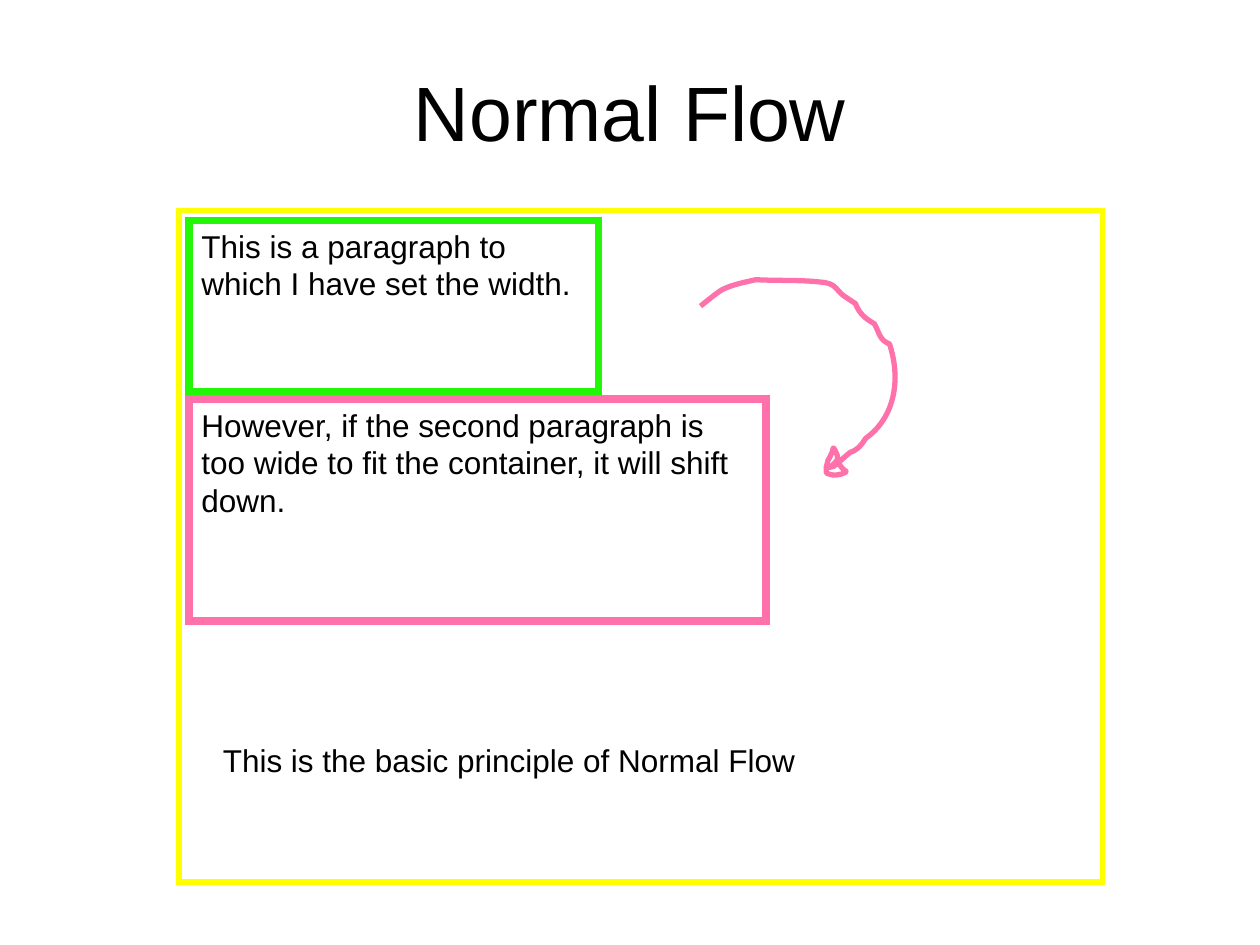
from dataclasses import dataclass

from lxml import etree
from pptx import Presentation
from pptx.dml.color import RGBColor
from pptx.enum.shapes import MSO_SHAPE
from pptx.enum.text import MSO_ANCHOR, MSO_AUTO_SIZE, PP_ALIGN
from pptx.oxml.ns import qn
from pptx.util import Inches, Pt

RECTANGLE = MSO_SHAPE.RECTANGLE
TOP, MIDDLE = MSO_ANCHOR.TOP, MSO_ANCHOR.MIDDLE
LEFT, CENTER = PP_ALIGN.LEFT, PP_ALIGN.CENTER
GROW = MSO_AUTO_SIZE.SHAPE_TO_FIT_TEXT
TITLE_ONLY = 5
COLORS = {"text": "000000", "container": "FFFF00", "first": "24F608", "second": "FF71AA"}


@dataclass
class Box:
    left: float
    top: float
    width: float
    height: float
    color: str = ""
    line_width: float = 0
    text: str = ""

    def frame(self) -> tuple:
        return tuple(map(Inches, (self.left, self.top, self.width, self.height)))


TITLE = Box(0.75, 0.25, 8.5, 1.25, text="Normal Flow")
BOXES = [
    Box(1.42, 1.67, 7.33, 5.33, "container", 3),
    Box(1.5, 1.75, 3.25, 1.36, "first", 4.5,
        "This is a paragraph to which I have set the width."),
    Box(1.5, 3.17, 4.58, 1.76, "second", 4.5,
        "However, if the second paragraph is too wide to fit the container, "
        "it will shift down."),
]
SUMMARY = Box(1.67, 5.83, 6.75, 0.5, text="This is the basic principle of Normal Flow")

# Hand-drawn arrow: a start point, then two control points and an end per curve
ARROW = Box(5.56, 2.22, 1.6, 1.56, "second", 3)
ARROW_START = (5.56, 2.43)
ARROW_CURVES = [
    ((5.61, 2.39), (5.67, 2.34), (5.73, 2.3)),
    ((5.81, 2.26), (5.91, 2.24), (6, 2.22)),
    ((6.18, 2.23), (6.35, 2.22), (6.52, 2.24)),
    ((6.64, 2.25), (6.63, 2.3), (6.7, 2.35)),
    ((6.73, 2.37), (6.79, 2.41), (6.79, 2.41)),
    ((6.82, 2.49), (6.87, 2.53), (6.94, 2.57)),
    ((6.98, 2.64), (6.98, 2.7), (7.06, 2.73)),
    ((7.15, 3), (7.11, 3.31), (6.87, 3.48)),
    ((6.84, 3.53), (6.81, 3.57), (6.75, 3.59)),
    ((6.72, 3.61), (6.65, 3.68), (6.62, 3.7)),
    ((6.6, 3.71), (6.58, 3.71), (6.56, 3.71)),
    ((6.54, 3.71), (6.59, 3.7), (6.6, 3.7)),
    ((6.65, 3.65), (6.67, 3.65), (6.62, 3.56)),
    ((6.61, 3.54), (6.61, 3.59), (6.6, 3.6)),
    ((6.55, 3.71), (6.59, 3.59), (6.56, 3.7)),
    ((6.56, 3.72), (6.55, 3.76), (6.57, 3.76)),
    ((6.62, 3.78), (6.67, 3.77), (6.71, 3.75)),
    ((6.73, 3.74), (6.69, 3.73), (6.68, 3.71)),
    ((6.64, 3.66), (6.67, 3.67), (6.64, 3.67)),
]


def write_text(shape, text: str, size: float = 18, align=LEFT, anchor=TOP):
    text_frame = shape.text_frame
    text_frame.word_wrap = True
    text_frame.vertical_anchor = anchor
    para = text_frame.paragraphs[0]
    para.alignment = align
    span = para.add_run()
    span.text = text
    for name, value in {"name": "Arial", "size": Pt(size)}.items():
        setattr(span.font, name, value)
    span.font.color.rgb = RGBColor.from_string(COLORS["text"])
    return para


def write_body(shape, text: str) -> None:
    """Write body text with half a line of space before it."""
    para = write_text(shape, text)
    shape.text_frame.auto_size = GROW
    properties = para._p.get_or_add_pPr()
    spacing = etree.SubElement(properties, qn("a:spcBef"))
    etree.SubElement(spacing, qn("a:spcPct"), val="50000")


def outline(shape, box: Box, join: str) -> None:
    shape.shadow.inherit = False
    shape.fill.background()
    shape.line.color.rgb = RGBColor.from_string(COLORS[box.color])
    shape.line.width = Pt(box.line_width)
    etree.SubElement(shape.line._get_or_add_ln(), qn(f"a:{join}"))


def draw_box(page, box: Box) -> None:
    shape = page.shapes.add_shape(RECTANGLE, *box.frame())
    outline(shape, box, "miter")
    if box.text:
        write_body(shape, box.text)


def draw_arrow(page) -> None:
    builder = page.shapes.build_freeform(*map(Inches, ARROW_START))
    ends = [tuple(map(Inches, curve[-1])) for curve in ARROW_CURVES]
    builder.add_line_segments(ends, close=False)
    arrow = builder.convert_to_shape()
    arrow.left, arrow.top, arrow.width, arrow.height = ARROW.frame()

    # Bend each straight segment into its cubic curve
    outline_path = next(arrow._element.iter(qn("a:path")))
    outline_path.set("w", str(arrow.width))
    outline_path.set("h", str(arrow.height))
    for segment, curve in zip(outline_path.findall(qn("a:lnTo")), ARROW_CURVES):
        bend = etree.Element(qn("a:cubicBezTo"))
        for x, y in curve:
            etree.SubElement(bend, qn("a:pt"), x=str(Inches(x) - arrow.left),
                             y=str(Inches(y) - arrow.top))
        outline_path.replace(segment, bend)
    outline(arrow, ARROW, "round")


def main() -> None:
    deck = Presentation()
    deck.slide_width, deck.slide_height = Inches(10), Inches(7.5)
    page = deck.slides.add_slide(deck.slide_layouts[TITLE_ONLY])

    # Title
    title = page.shapes.title
    title.left, title.top, title.width, title.height = TITLE.frame()
    write_text(title, TITLE.text, 44, CENTER, MIDDLE)

    # Container with its two paragraphs
    for box in BOXES:
        draw_box(page, box)

    # Arrow and summary
    draw_arrow(page)
    write_body(page.shapes.add_textbox(*SUMMARY.frame()), SUMMARY.text)

    deck.save("out.pptx")


if __name__ == "__main__":
    main()
